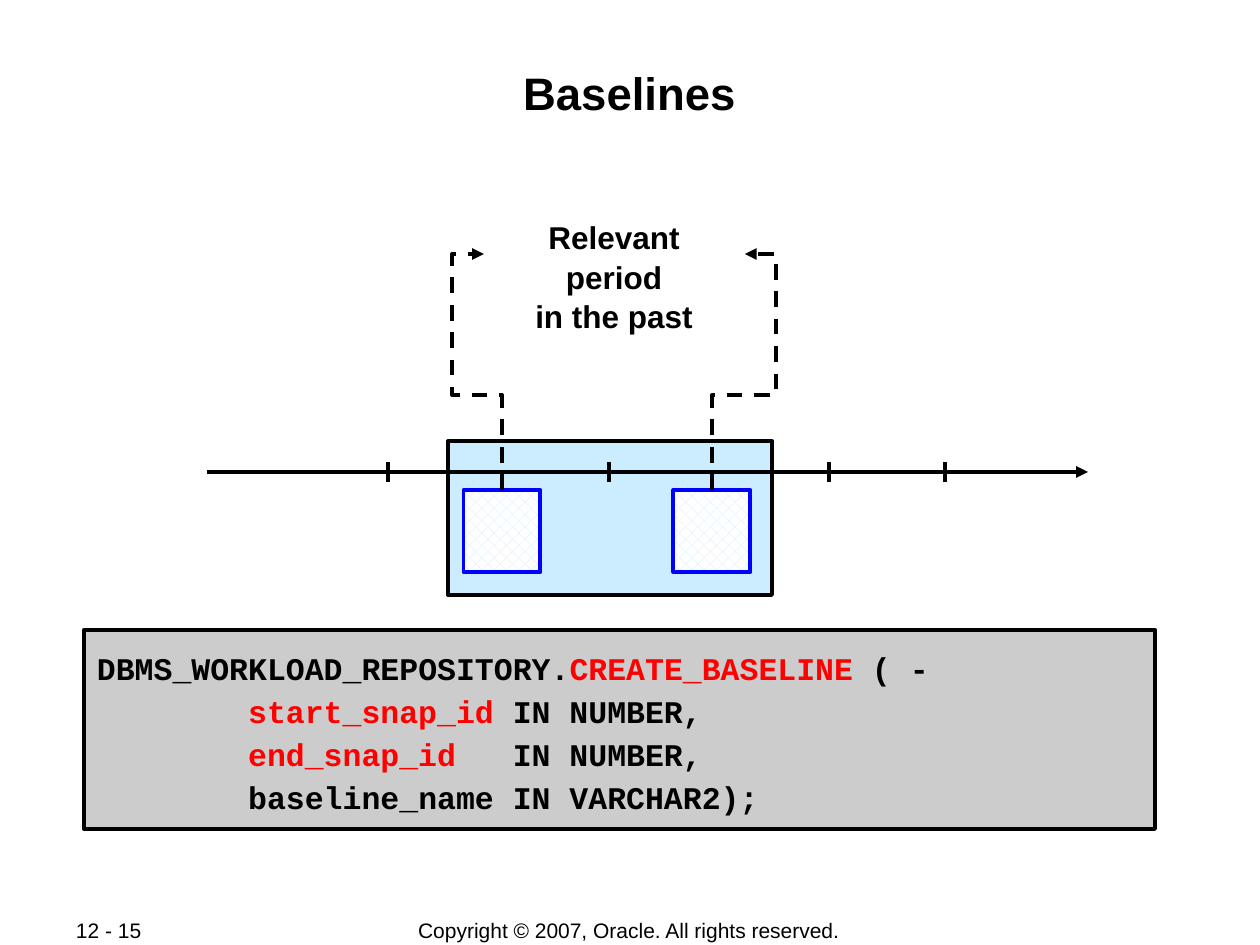
from lxml import etree
from pptx import Presentation
from pptx.dml.color import RGBColor
from pptx.enum.dml import MSO_LINE, MSO_PATTERN
from pptx.enum.shapes import MSO_CONNECTOR, MSO_SHAPE
from pptx.enum.text import MSO_ANCHOR, MSO_AUTO_SIZE, PP_ALIGN
from pptx.oxml.ns import qn
from pptx.util import Pt

RECTANGLE, STRAIGHT = MSO_SHAPE.RECTANGLE, MSO_CONNECTOR.STRAIGHT
DASH, DOTTED_FILL = MSO_LINE.DASH, MSO_PATTERN.PERCENT_30
TOP, MIDDLE = MSO_ANCHOR.TOP, MSO_ANCHOR.MIDDLE
LEFT, CENTER = PP_ALIGN.LEFT, PP_ALIGN.CENTER
NO_AUTOSIZE = MSO_AUTO_SIZE.NONE

BLACK = RGBColor(0x00, 0x00, 0x00)
WHITE = RGBColor(0xFF, 0xFF, 0xFF)
RED = RGBColor(0xFF, 0x00, 0x00)
BLUE = RGBColor(0x00, 0x00, 0xFF)
PALE_BLUE = RGBColor(0xCC, 0xEC, 0xFF)
GRAY = RGBColor(0xCC, 0xCC, 0xCC)

# Content: each line is a list of (text, colour) runs
TITLE = [[("Baselines", BLACK)]]
PERIOD = [[("Relevant period\vin the past", BLACK)]]
CODE = [
    [("DBMS_WORKLOAD_REPOSITORY.", BLACK), ("CREATE_BASELINE", RED), (" ( -", BLACK)],
    [("        ", BLACK), ("start_snap_id", RED), (" IN NUMBER,", BLACK)],
    [("        ", BLACK), ("end_snap_id", RED), ("   IN NUMBER,", BLACK)],
    [("        baseline_name IN VARCHAR2);", BLACK)],
]
COPYRIGHT = [[("Copyright © 2007, Oracle. All rights reserved.", BLACK)]]
PAGE_NUMBER = [[("12 - 15", BLACK)]]

# Diagram geometry in px
AXIS_Y, AXIS_START, AXIS_END = 472, 207, 1088
TICKS, TICK_REACH = (388, 609, 829, 945), 10
SNAP_Y, SNAP_WIDTH, SNAP_HEIGHT = 490, 77, 82
BEND_Y, LABEL_Y = 395, 254
# Snapshot centre, outer x of its path, x of the arrow tip
SNAPSHOTS = [(502, 452, 484), (712, 776, 745)]

EMU_PER_PX = 914400 / 126


def px(value):
    return round(value * EMU_PER_PX)


def style_line(line, color=BLACK, arrow=False):
    line.color.rgb = color
    line.width = Pt(2.25)
    if arrow:
        etree.SubElement(line._get_or_add_ln(), qn("a:tailEnd"), type="triangle")


def add_line(x1, y1, x2, y2, arrow=False):
    connector = page.shapes.add_connector(STRAIGHT, px(x1), px(y1), px(x2), px(y2))
    style_line(connector.line, arrow=arrow)
    etree.SubElement(connector._element.spPr, qn("a:effectLst"))


def add_rectangle(left, top, width, height, fill, line=BLACK):
    box = page.shapes.add_shape(RECTANGLE, px(left), px(top), px(width), px(height))
    box.shadow.inherit = False
    box.fill.solid()
    box.fill.fore_color.rgb = fill
    style_line(box.line, line)
    return box


def add_text_box(left, top, width, height):
    return page.shapes.add_textbox(px(left), px(top), px(width), px(height))


def write(box, lines, size, font="Arial", bold=True, align=CENTER, anchor=MIDDLE,
          insets=(13, 6, 13, 6), gap=0, spacing=1.0):
    frame = box.text_frame
    frame.word_wrap = True
    frame.auto_size = NO_AUTOSIZE
    frame.vertical_anchor = anchor
    (frame.margin_left, frame.margin_top,
     frame.margin_right, frame.margin_bottom) = map(px, insets)
    for index, runs in enumerate(lines):
        para = frame.add_paragraph() if index else frame.paragraphs[0]
        para.alignment = align
        para.line_spacing = spacing
        para.space_before = Pt(gap if index else 0)
        for text, color in runs:
            for part_index, part in enumerate(text.split("\v")):
                if part_index:
                    para.add_line_break()
                span = para.add_run()
                span.text = part
                span.font.name = font
                span.font.size = Pt(size)
                span.font.bold = bold
                span.font.color.rgb = color


deck = Presentation()
deck.slide_width, deck.slide_height = px(1260), px(945)
page = deck.slides.add_slide(deck.slide_layouts[5])

# Title
title = page.shapes.title
title.left, title.top, title.width, title.height = map(px, (84, 60, 1091, 121))
write(title, TITLE, 26, anchor=TOP, insets=(1, 5, 1, 1))

# Baseline period and its two snapshots
add_rectangle(448, 441, 324, 154, PALE_BLUE)
for center, _, _ in SNAPSHOTS:
    snapshot = add_rectangle(center - SNAP_WIDTH / 2, SNAP_Y, SNAP_WIDTH, SNAP_HEIGHT,
                             WHITE, BLUE)
    snapshot.fill.patterned()
    snapshot.fill.pattern = DOTTED_FILL
    snapshot.fill.fore_color.rgb = PALE_BLUE
    snapshot.fill.back_color.rgb = WHITE

# Time axis
add_line(AXIS_START, AXIS_Y, AXIS_END, AXIS_Y, arrow=True)
for x in TICKS:
    add_line(x, AXIS_Y - TICK_REACH, x, AXIS_Y + TICK_REACH)

# Dashed paths from the snapshots to the label
for center, outer, tip in SNAPSHOTS:
    builder = page.shapes.build_freeform(center, SNAP_Y, scale=EMU_PER_PX)
    builder.add_line_segments(
        [(center, BEND_Y), (outer, BEND_Y), (outer, LABEL_Y), (tip, LABEL_Y)], close=False)
    dashed_path = builder.convert_to_shape()
    dashed_path.shadow.inherit = False
    dashed_path.fill.background()
    dashed_path.line.dash_style = DASH
    style_line(dashed_path.line, arrow=True)

write(add_text_box(483, 210, 262, 88), PERIOD, 18, anchor=TOP, spacing=1.05)

# Code panel
code_panel = add_rectangle(84, 630, 1071, 199, GRAY)
write(code_panel, CODE, 18, font="Courier New", align=LEFT, insets=(13, 6, 13, 1), gap=3)

# Footer
write(add_text_box(346, 917, 566, 27), COPYRIGHT, 12, bold=False, insets=(13, 0, 13, 0))
write(add_text_box(63, 917, 134, 27), PAGE_NUMBER, 12, bold=False, align=LEFT,
      insets=(13, 0, 13, 0))

deck.save("out.pptx")
